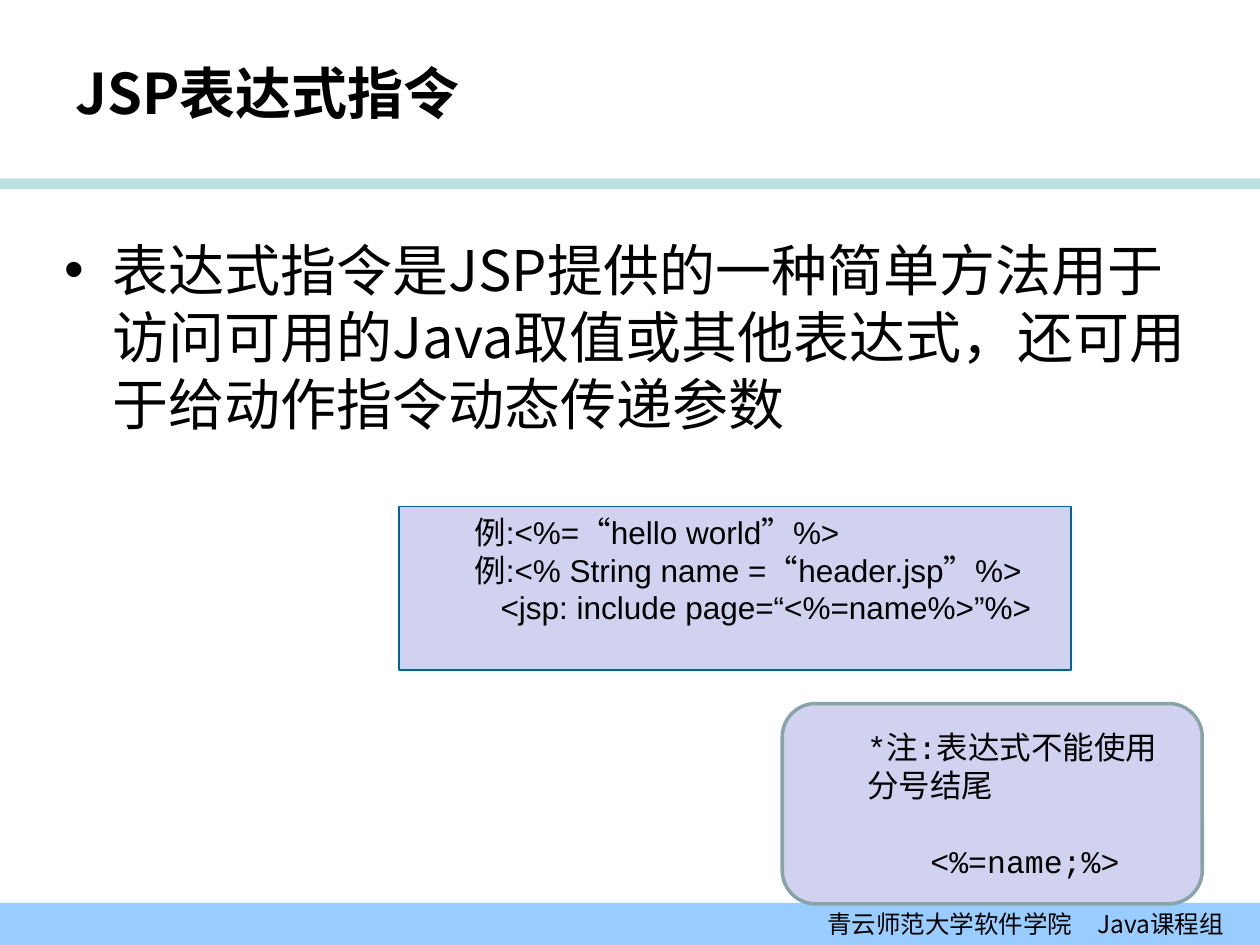
from lxml import etree
from pptx import Presentation
from pptx.dml.color import RGBColor
from pptx.enum import shapes, text
from pptx.oxml import ns
from pptx.util import Pt

CJK = "Noto Sans CJK SC"
PANEL = "D1D1F0"


def colour(value):
    return RGBColor.from_string(value)


def set_frame(shape, **values):
    frame = shape.text_frame
    defaults = dict(word_wrap=True, auto_size=text.MSO_AUTO_SIZE.NONE,
                    vertical_anchor=text.MSO_ANCHOR.TOP)
    for name, value in {**defaults, **values}.items():
        setattr(frame, name, value)
    return frame


def add_panel(page, box, fill, line=None, width=0, kind=shapes.MSO_SHAPE.RECTANGLE):
    panel = page.shapes.add_shape(kind, *map(Pt, box))
    panel.shadow.inherit = False
    panel.fill.solid()
    panel.fill.fore_color.rgb = colour(fill)
    if line:
        panel.line.color.rgb = colour(line)
        panel.line.width = Pt(width)
    else:
        panel.line.fill.background()
    return panel


def write(para, words, size, font=CJK, bold=False, align=text.PP_ALIGN.LEFT,
          left=0, hanging=0, before=0):
    for name, value in dict(alignment=align, space_before=Pt(before)).items():
        setattr(para, name, value)
    props = para._p.get_or_add_pPr()
    props.set("marL", str(Pt(left)))
    props.set("indent", str(Pt(-hanging)))
    span = para.add_run()
    span.text = words
    for name, value in dict(name=font, size=Pt(size), bold=bold).items():
        setattr(span.font, name, value)
    span.font.color.rgb = colour("000000")
    east = etree.SubElement(span._r.get_or_add_rPr(), ns.qn("a:ea"))
    east.set("typeface", CJK)
    return props


def write_lines(frame, lines, size, font):
    for number, (words, left, before) in enumerate(lines):
        para = frame.add_paragraph() if number else frame.paragraphs[0]
        write(para, words, size, font, left=left, before=before)


def add_title(page, box):
    title = page.shapes.add_textbox(*map(Pt, box))
    frame = set_frame(title, vertical_anchor=text.MSO_ANCHOR.MIDDLE)
    write(frame.paragraphs[0], "JSP表达式指令", 32, bold=True)


def add_body(page, box):
    body = page.shapes.add_textbox(*map(Pt, box))
    frame = set_frame(body)
    props = write(
        frame.paragraphs[0],
        "表达式指令是JSP提供的一种简单方法用于访问可用的Java取值或其他表达式，还可用于给动作指令动态传递参数",
        32, left=27, hanging=27, before=8)
    etree.SubElement(props, ns.qn("a:buFont")).set("typeface", "Arial")
    etree.SubElement(props, ns.qn("a:buChar")).set("char", "•")


def add_example(page, box):
    frame = set_frame(add_panel(page, box, PANEL, "006699", 0.75))
    write_lines(frame, [
        ("例:<%=“hello world”%>", 36, 0),
        ("例:<% String name =“header.jsp”%>", 36, 0),
        ("<jsp: include page=“<%=name%>”%>", 51, 0),
    ], 18, "Arial")


def add_note(page, box):
    panel = add_panel(page, box, PANEL, "89A4A7", 2,
                      shapes.MSO_SHAPE.FLOWCHART_ALTERNATE_PROCESS)
    frame = set_frame(panel, vertical_anchor=text.MSO_ANCHOR.MIDDLE)
    write_lines(frame, [
        ("*注:表达式不能使用分号结尾", 36, 0),
        ("<%=name;%>", 72, 22),
    ], 18, "Courier New")


def add_footer(page, box):
    frame = set_frame(add_panel(page, box, "99CCFF"), margin_right=Pt(20.5),
                      vertical_anchor=text.MSO_ANCHOR.MIDDLE)
    write(frame.paragraphs[0], "青云师范大学软件学院　Java课程组", 14,
          align=text.PP_ALIGN.RIGHT)


def main():
    deck = Presentation()
    deck.slide_width, deck.slide_height = Pt(720), Pt(540)
    page = deck.slides.add_slide(deck.slide_layouts[6])
    add_panel(page, (0, 102, 720, 6), "BBE0E3")
    add_footer(page, (0, 516, 720, 24))
    add_title(page, (36, 21.6, 576, 62.4))
    add_body(page, (30, 131, 666, 343.5))
    add_example(page, (228, 289.5, 384, 93.5))
    add_note(page, (447, 402, 240, 114.5))
    deck.save("out.pptx")


if __name__ == "__main__":
    main()
